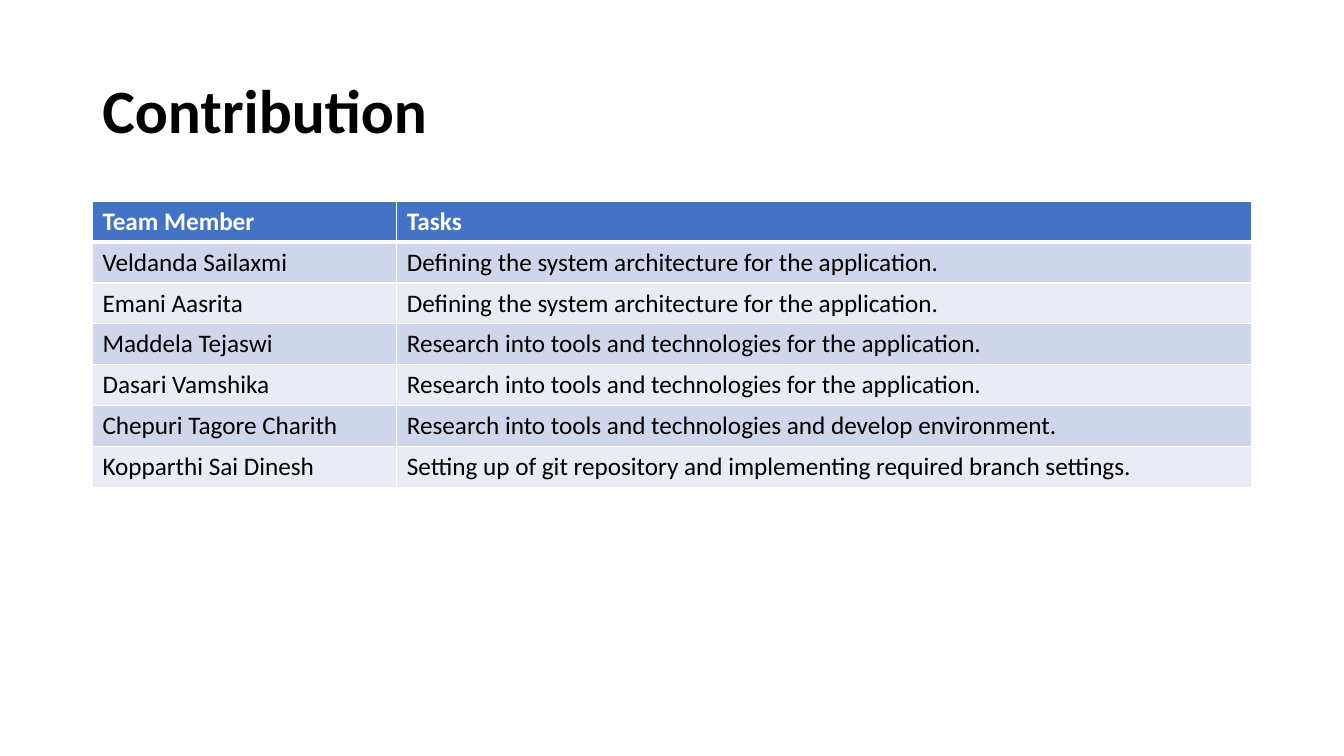
from dataclasses import dataclass

import lxml.etree
import pptx
import pptx.dml.color
import pptx.enum.text
import pptx.oxml.ns
import pptx.util

Cm = pptx.util.Cm
Pt = pptx.util.Pt


@dataclass(frozen=True)
class Theme:
    font: str = "Calibri"
    title_size: int = 44
    table_size: int = 18
    text: str = "000000"
    white: str = "FFFFFF"
    header: str = "4472C4"
    bands: tuple = ("CFD5EA", "E9EBF5")


theme = Theme()


def write(tf, text, size, color=theme.text, bold=False, line_spacing=None):
    p = tf.paragraphs[0]
    p.line_spacing = line_spacing
    r = p.add_run()
    r.text = text
    r.font.name = theme.font
    r.font.size = Pt(size)
    r.font.bold = bold
    r.font.color.rgb = pptx.dml.color.RGBColor.from_string(color)


def add_border(cell, side, points):
    """Draw a white border on one side of the cell: L, R, T or B."""
    qn = pptx.oxml.ns.qn
    tc_pr = cell._tc.get_or_add_tcPr()
    ln = lxml.etree.SubElement(tc_pr, qn(f"a:ln{side}"), w=str(Pt(points)))
    fill = lxml.etree.SubElement(ln, qn("a:solidFill"))
    lxml.etree.SubElement(fill, qn("a:srgbClr"), val=theme.white)


rows = [
    ("Team Member", "Tasks"),
    ("Veldanda Sailaxmi", "Defining the system architecture for the application."),
    ("Emani Aasrita", "Defining the system architecture for the application."),
    ("Maddela Tejaswi", "Research into tools and technologies for the application."),
    ("Dasari Vamshika", "Research into tools and technologies for the application."),
    ("Chepuri Tagore Charith", "Research into tools and technologies and develop environment."),
    ("Kopparthi Sai Dinesh", "Setting up of git repository and implementing required branch settings."),
]
column_widths = [Cm(7.67), Cm(21.54)]
row_height = Cm(1.03)
left, width = Cm(2.33), sum(column_widths)

prs = pptx.Presentation()
prs.slide_width, prs.slide_height = Cm(33.87), Cm(19.05)
s = prs.slides.add_slide(prs.slide_layouts[6])

# Title
tf = s.shapes.add_textbox(left, Cm(1.01), width, Cm(3.68)).text_frame
tf.word_wrap = True
tf.vertical_anchor = pptx.enum.text.MSO_ANCHOR.MIDDLE
write(tf, "Contribution", theme.title_size, bold=True, line_spacing=0.9)

# Contribution table
table = s.shapes.add_table(
    len(rows), len(column_widths), left, Cm(5.07), width, row_height * len(rows)
).table
for column, column_width in zip(table.columns, column_widths):
    column.width = column_width

for i, row in enumerate(rows):
    table.rows[i].height = row_height
    is_header = i == 0
    fill = theme.header if is_header else theme.bands[(i - 1) % 2]
    color = theme.white if is_header else theme.text
    for j, text in enumerate(row):
        cell = table.cell(i, j)
        write(cell.text_frame, text, theme.table_size, color=color, bold=is_header)
        for side in "LRTB":
            under_header = (i, side) in ((0, "B"), (1, "T"))
            add_border(cell, side, 3 if under_header else 1)
        cell.fill.solid()
        cell.fill.fore_color.rgb = pptx.dml.color.RGBColor.from_string(fill)

prs.save("out.pptx")
